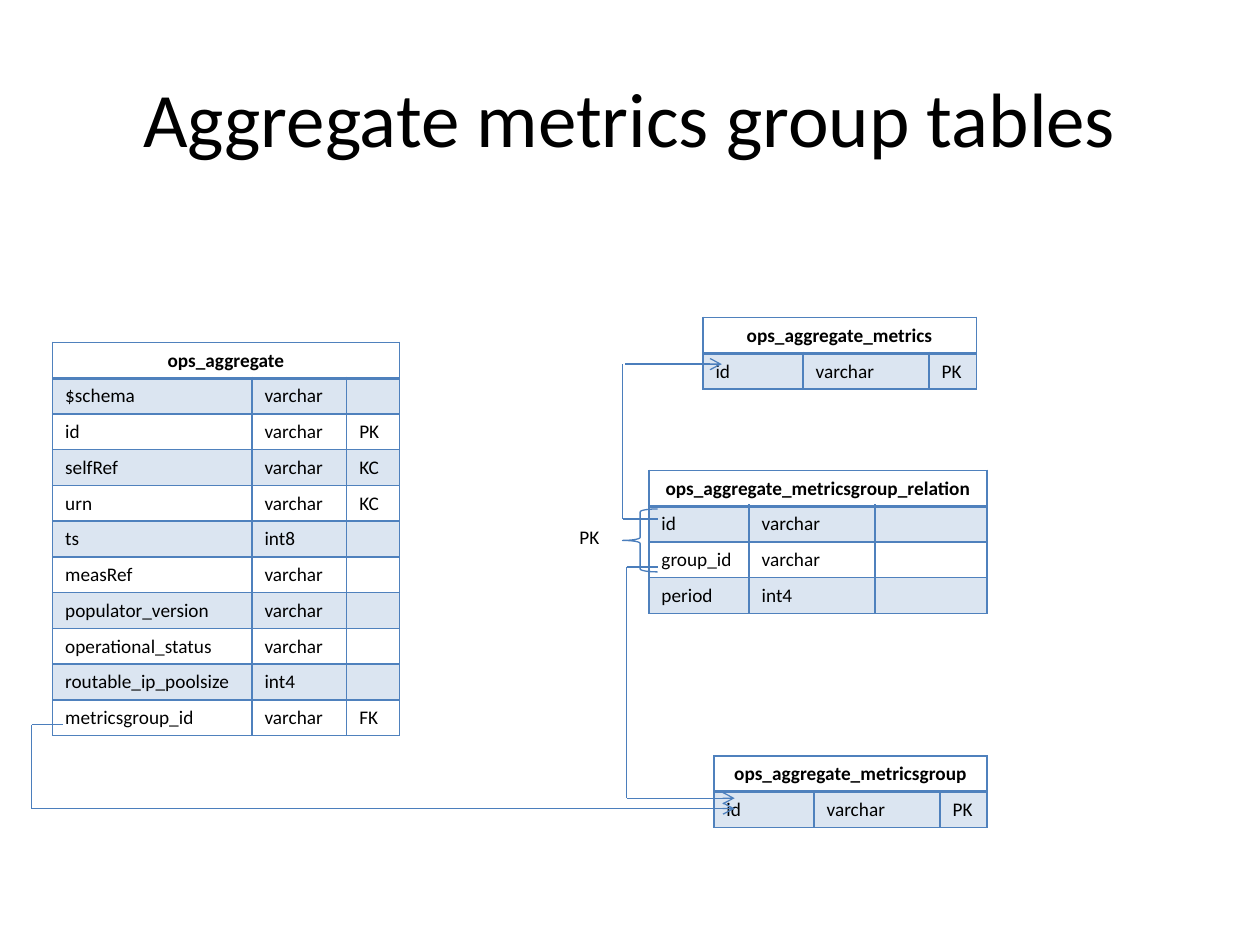
from lxml.etree import SubElement
from pptx import Presentation
from pptx.dml.color import RGBColor
from pptx.enum.shapes import MSO_CONNECTOR, MSO_SHAPE
from pptx.enum.text import MSO_ANCHOR, MSO_AUTO_SIZE, PP_ALIGN
from pptx.oxml import parse_xml
from pptx.oxml.ns import nsdecls, qn
from pptx.util import Cm, Pt

COLORS = {"text": "000000", "table": "4F81BD", "link": "4B7EBC"}
FONT = "Calibri"
ROW_HEIGHT = 0.72

# Left, top, column widths (cm), name, rows of field, type and key
TABLES = [
    (14.17, 6.4, (2.02, 2.54, 0.95), "ops_aggregate_metrics",
     [("id", "varchar", "PK")]),
    (13.08, 9.48, (2.02, 2.54, 2.26), "ops_aggregate_metricsgroup_relation",
     [("id", "varchar", ""), ("group_id", "varchar", ""), ("period", "int4", "")]),
    (14.39, 15.24, (2.02, 2.54, 0.95), "ops_aggregate_metricsgroup",
     [("id", "varchar", "PK")]),
    (1.06, 6.9, (4.02, 1.91, 1.06), "ops_aggregate",
     [("$schema", "varchar", ""), ("id", "varchar", "PK"),
      ("selfRef", "varchar", "KC"), ("urn", "varchar", "KC"),
      ("ts", "int8", ""), ("measRef", "varchar", ""),
      ("populator_version", "varchar", ""), ("operational_status", "varchar", ""),
      ("routable_ip_poolsize", "int4", ""), ("metricsgroup_id", "varchar", "FK")]),
]

# Start x, start y, end x, end y (cm), arrowhead at the end
LINKS = [
    (0.64, 16.3, 14.81, 16.3, True),
    (0.64, 16.3, 0.64, 14.61, False),
    (0.64, 14.61, 1.27, 14.61, False),
    (12.63, 16.09, 14.81, 16.09, True),
    (12.63, 11.43, 12.63, 16.09, False),
    (12.63, 11.43, 13.26, 11.43, False),
    (12.55, 7.34, 12.55, 10.46, False),
    (12.6, 7.34, 14.55, 7.34, True),
    (12.55, 10.46, 13.26, 10.46, False),
]


def add_text(paragraph, text, size, bold=False):
    run = paragraph.add_run()
    run.text = text
    run.font.name = FONT
    run.font.size = Pt(size)
    run.font.bold = bold
    run.font.color.rgb = RGBColor.from_string(COLORS["text"])


def style_cell(cell, row, shaded):
    """Set the cell's translucent fill and its borders, thick below the header."""
    properties = cell._tc.get_or_add_tcPr()
    if shaded:
        cell.fill.solid()
        cell.fill.fore_color.rgb = RGBColor.from_string(COLORS["table"])
        color = properties.find(".//" + qn("a:srgbClr"))
        SubElement(color, qn("a:alpha"), val="20000")
    else:
        cell.fill.background()
    for index, side in enumerate("LRTB"):
        thick = (row, side) in ((0, "B"), (1, "T"))
        properties.insert(index, parse_xml(
            f'<a:ln{side} {nsdecls("a")} w="{Pt(2 if thick else 1)}"><a:solidFill>'
            f'<a:srgbClr val="{COLORS["table"]}"/></a:solidFill></a:ln{side}>'))


presentation = Presentation()
presentation.slide_width = Cm(25.4)
presentation.slide_height = Cm(19.05)
slide = presentation.slides.add_slide(presentation.slide_layouts[6])

# Title
title = slide.shapes.add_textbox(Cm(1.27), Cm(0.76), Cm(22.86), Cm(3.18))
title.text_frame.word_wrap = True
title.text_frame.vertical_anchor = MSO_ANCHOR.MIDDLE
title_paragraph = title.text_frame.paragraphs[0]
title_paragraph.alignment = PP_ALIGN.CENTER
add_text(title_paragraph, "Aggregate metrics group tables", 44)

# Database tables
for left, top, widths, name, fields in TABLES:
    rows = [(name, "", "")] + fields
    table = slide.shapes.add_table(
        len(rows), len(widths), Cm(left), Cm(top),
        Cm(sum(widths)), Cm(ROW_HEIGHT * len(rows))).table
    table.horz_banding = False
    for column, width in zip(table.columns, widths):
        column.width = Cm(width)
    for row, values in enumerate(rows):
        table.rows[row].height = Cm(ROW_HEIGHT)
        for column, value in enumerate(values):
            cell = table.cell(row, column)
            style_cell(cell, row, shaded=row % 2 == 1)
            paragraph = cell.text_frame.paragraphs[0]
            if value:
                add_text(paragraph, value, 11, bold=row == 0)
            else:
                # An empty cell needs its text size too, or its row grows
                SubElement(paragraph._p, qn("a:endParaRPr"), sz="1100")
    table.cell(0, 0).merge(table.cell(0, len(widths) - 1))
    table.cell(0, 0).text_frame.paragraphs[0].alignment = PP_ALIGN.CENTER

# Brace marking the composite primary key
brace = slide.shapes.add_shape(
    MSO_SHAPE.LEFT_BRACE, Cm(12.55), Cm(10.26), Cm(0.71), Cm(1.27))
brace.shadow.inherit = False
brace.fill.background()
brace.line.color.rgb = RGBColor.from_string(COLORS["link"])
brace.line.width = Pt(0.75)

key_label = slide.shapes.add_textbox(Cm(11.43), Cm(10.46), Cm(1.19), Cm(0.73))
key_label.text_frame.word_wrap = False
key_label.text_frame.auto_size = MSO_AUTO_SIZE.SHAPE_TO_FIT_TEXT
add_text(key_label.text_frame.paragraphs[0], "PK", 11)

# Foreign key links
for start_x, start_y, end_x, end_y, arrow in LINKS:
    link = slide.shapes.add_connector(
        MSO_CONNECTOR.STRAIGHT, Cm(start_x), Cm(start_y), Cm(end_x), Cm(end_y))
    link.line.color.rgb = RGBColor.from_string(COLORS["link"])
    link.line.width = Pt(0.75)
    if arrow:
        SubElement(link.line._get_or_add_ln(), qn("a:tailEnd"), type="arrow")
    SubElement(link._element.spPr, qn("a:effectLst"))

presentation.save("out.pptx")
